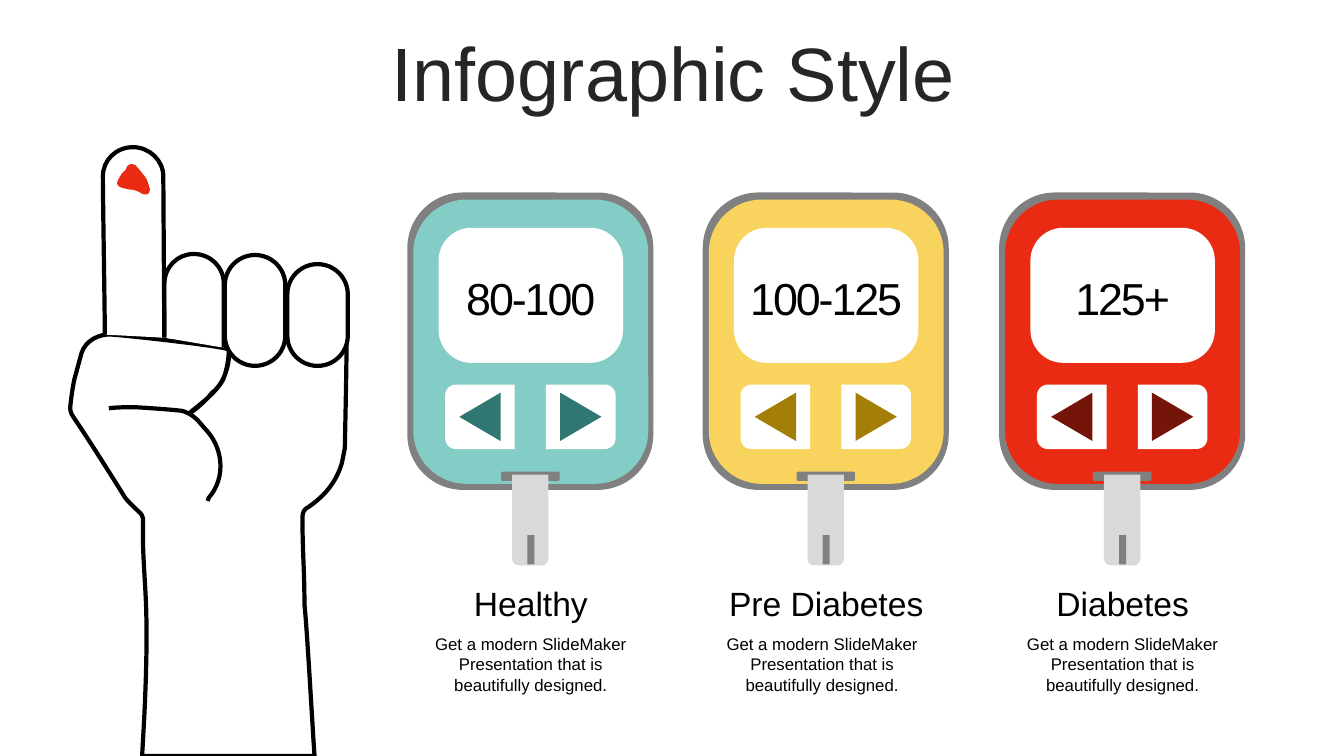
from lxml.etree import SubElement
from pptx import Presentation
from pptx.dml.color import RGBColor
from pptx.enum.shapes import MSO_SHAPE
from pptx.enum.text import MSO_ANCHOR, MSO_AUTO_SIZE, PP_ALIGN
from pptx.oxml.ns import qn
from pptx.util import Inches, Pt

COLORS = {
    "white": "FFFFFF", "black": "000000", "title": "262626",
    "case": "808080", "strip": "D9D9D9",
    "teal": "84CCC6", "dark teal": "317771",
    "yellow": "F8D45E", "dark yellow": "A47F07",
    "red": "EA2B13", "dark red": "751509",
}
GRID = Inches(0.01)  # every length below counts cells of this grid
CAPTION = "Get a modern SlideMaker Presentation that is beautifully designed."

# Column left, caption shift, reading, heading, colour
METERS = [
    (404, 0, "80-100", "Healthy", "teal"),
    (697, -4, "100-125", "Pre Diabetes", "yellow"),
    (991, 0, "125+", "Diabetes", "red"),
]

# Each outline is a start point, then lines (2 numbers) and Bézier curves (6 numbers)
FIST = [
    (274, 154), (274, 205, 273, 252, 272, 299), (271, 304, 270, 309, 269, 314),
    (263, 333, 252, 346, 236, 357), (232, 359, 230, 362, 230, 367),
    (230, 400, 232, 421, 232, 454), (234, 472, 237, 524, 241, 589),
    (242, 604), (71, 604), (73, 568),
    (75, 527, 76, 489, 75, 458), (74, 426, 71, 402, 72, 370),
    (72, 367, 70, 363, 68, 362), (65, 359, 55, 350, 53, 346),
    (42, 328, 14, 284, 3, 268), (0, 264, -1, 260, 0, 255),
    (1, 246, 3, 232, 5, 226), (7, 219, 9, 211, 11, 204),
    (15, 192, 28, 185, 41, 186), (57, 187, 157, 198, 157, 201),
    (157, 210, 155, 220, 152, 229), (146, 244, 120, 261, 118, 264),
    (116, 266, 132, 255, 140, 244), (149, 238, 159, 219, 157, 200),
]
MIDDLE_FINGER = [
    (93, 189), (93, 136), (93, 119, 106, 106, 122, 106),
    (139, 106, 152, 119, 152, 136), (152, 199),
]
THUMB_CREASE = [
    (38, 259), (47, 258, 55, 258, 64, 258), (66, 258, 111, 261, 112, 262),
    (123, 266, 127, 272, 133, 279), (151, 297, 155, 327, 137, 348),
    (137, 349, 136, 350, 136, 351),
]
INDEX_FINGER = [
    (34, 186), (34, 168, 32, 47, 32, 29), (32, 13, 45, 0, 62, 0),
    (78, 0, 92, 13, 92, 29), (93, 189),
]
BLOOD_DROP = [
    (66, 20), (68, 22, 70, 24, 71, 26), (74, 29, 76, 32, 77, 36),
    (78, 37, 78, 38, 78, 39), (79, 41, 79, 43, 78, 45),
    (77, 47, 76, 47, 74, 47), (72, 47, 70, 46, 69, 45),
    (65, 43, 62, 42, 58, 42), (55, 41, 52, 41, 50, 40),
    (48, 39, 46, 38, 46, 36), (47, 32, 49, 29, 51, 26),
    (53, 24, 54, 23, 55, 22), (55, 21, 55, 20, 56, 19),
    (58, 17, 60, 16, 62, 17), (64, 18, 66, 18, 66, 20),
]


def color(name):
    return RGBColor.from_string(COLORS[name])


def place(origin, cells):
    """Turn cells relative to an origin into left, top, width and height."""
    left, top, width, height = cells
    return [GRID * n for n in (origin[0] + left, origin[1] + top, width, height)]


def paint(shape, fill, line=None):
    shape.shadow.inherit = False
    shape.fill.solid()
    shape.fill.fore_color.rgb = color(fill)
    if line:
        shape.line.color.rgb = color(line)
        shape.line.width = Pt(3)
    else:
        shape.line.fill.background()


def add_part(shapes, kind, origin, cells, fill, line=None, rotation=0, adjustments=()):
    shape = shapes.add_shape(kind, *place(origin, cells))
    shape.rotation = rotation
    for index, value in enumerate(adjustments):
        shape.adjustments[index] = value
    paint(shape, fill, line)


def bend_segments(shape, outline):
    """Turn the straight segments that stand for curves into Bézier curves."""
    left = min(segment[-2] for segment in outline)
    top = min(segment[-1] for segment in outline)
    straight_segments = list(shape._element.iter(qn("a:lnTo")))
    for element, segment in zip(straight_segments, outline[1:]):
        if len(segment) == 6:
            curve = element.makeelement(qn("a:cubicBezTo"))
            for x, y in zip(segment[::2], segment[1::2]):
                SubElement(curve, qn("a:pt"), x=str(GRID * (x - left)), y=str(GRID * (y - top)))
            element.getparent().replace(element, curve)


def add_outline(shapes, outline, origin, fill, line=None, close=False):
    points = [(GRID * (origin[0] + segment[-2]), GRID * (origin[1] + segment[-1]))
              for segment in outline]
    builder = shapes.build_freeform(*points[0])
    builder.add_line_segments(points[1:], close=close)
    shape = builder.convert_to_shape()
    bend_segments(shape, outline)
    paint(shape, fill, line)


def write(shape, text, size, font_color="black", anchor=MSO_ANCHOR.MIDDLE,
          line_spacing=None, tracking=None):
    frame = shape.text_frame
    frame.word_wrap = True
    frame.auto_size = MSO_AUTO_SIZE.NONE
    frame.vertical_anchor = anchor
    paragraph = frame.paragraphs[0]
    paragraph.alignment = PP_ALIGN.CENTER
    paragraph.line_spacing = line_spacing
    run = paragraph.add_run()
    run.text = text
    run.font.name = "Arial"
    run.font.size = Pt(size)
    run.font.color.rgb = color(font_color)
    if tracking is not None:
        run.font._element.set("spc", str(round(tracking * 100)))


def draw_title(slide, cells):
    title = slide.shapes.title
    title.left, title.top, title.width, title.height = place((0, 0), cells)
    write(title, "Infographic Style", 54, font_color="title", line_spacing=0.9)


def draw_hand(slide, origin):
    shapes = slide.shapes.add_group_shape().shapes
    pen = {"fill": "white", "line": "black"}
    add_outline(shapes, FIST, origin, close=True, **pen)
    add_outline(shapes, MIDDLE_FINGER, origin, **pen)
    for finger in ((153, 107, 60, 110), (215, 116, 60, 101)):
        add_part(shapes, MSO_SHAPE.ROUNDED_RECTANGLE, origin, finger, adjustments=[0.5], **pen)
    add_outline(shapes, THUMB_CREASE, origin, **pen)
    add_outline(shapes, INDEX_FINGER, origin, **pen)
    add_outline(shapes, BLOOD_DROP, origin, "red", close=True)


def draw_meter(slide, origin, reading, hue):
    shapes = slide.shapes.add_group_shape().shapes
    rounded, tab = MSO_SHAPE.ROUNDED_RECTANGLE, MSO_SHAPE.ROUND_2_SAME_RECTANGLE
    add_part(shapes, rounded, origin, (0, 0, 244, 295), "case", adjustments=[0.226])
    add_part(shapes, rounded, origin, (6, 7, 233, 282), hue, adjustments=[0.226])
    add_part(shapes, rounded, origin, (31, 35, 183, 134), "white", adjustments=[0.243])
    for left, rotation in ((40, 270), (140, 90)):
        add_part(shapes, tab, origin, (left, 188, 64, 69), "white", rotation=rotation)
        add_part(shapes, MSO_SHAPE.ISOSCELES_TRIANGLE, origin, (left + 8, 202, 48, 41),
                 f"dark {hue}", rotation=rotation)
    add_part(shapes, rounded, origin, (93, 277, 58, 9), "case")
    add_part(shapes, tab, origin, (104, 280, 36, 90), "strip", adjustments=[0, 0.178])
    add_part(shapes, MSO_SHAPE.RECTANGLE, origin, (119, 340, 7, 29), "case")
    write(shapes.add_textbox(*place(origin, (31, 72, 183, 64))), reading, 32, tracking=-1.5)


def draw_labels(slide, origin, heading, caption_shift):
    heading_box = slide.shapes.add_textbox(*place(origin, (6, 382, 233, 50)))
    write(heading_box, heading, 24)
    caption_box = slide.shapes.add_textbox(*place(origin, (6 + caption_shift, 433, 233, 71)))
    write(caption_box, CAPTION, 12, anchor=MSO_ANCHOR.TOP)


def main():
    presentation = Presentation()
    presentation.slide_width = Inches(13.33)
    presentation.slide_height = Inches(7.5)
    slide = presentation.slides.add_slide(presentation.slide_layouts[5])
    draw_title(slide, (35, 37, 1266, 79))
    draw_hand(slide, (70, 146))
    for left, caption_shift, reading, heading, hue in METERS:
        draw_meter(slide, (left, 191), reading, hue)
        draw_labels(slide, (left, 191), heading, caption_shift)
    presentation.save("out.pptx")


if __name__ == "__main__":
    main()
